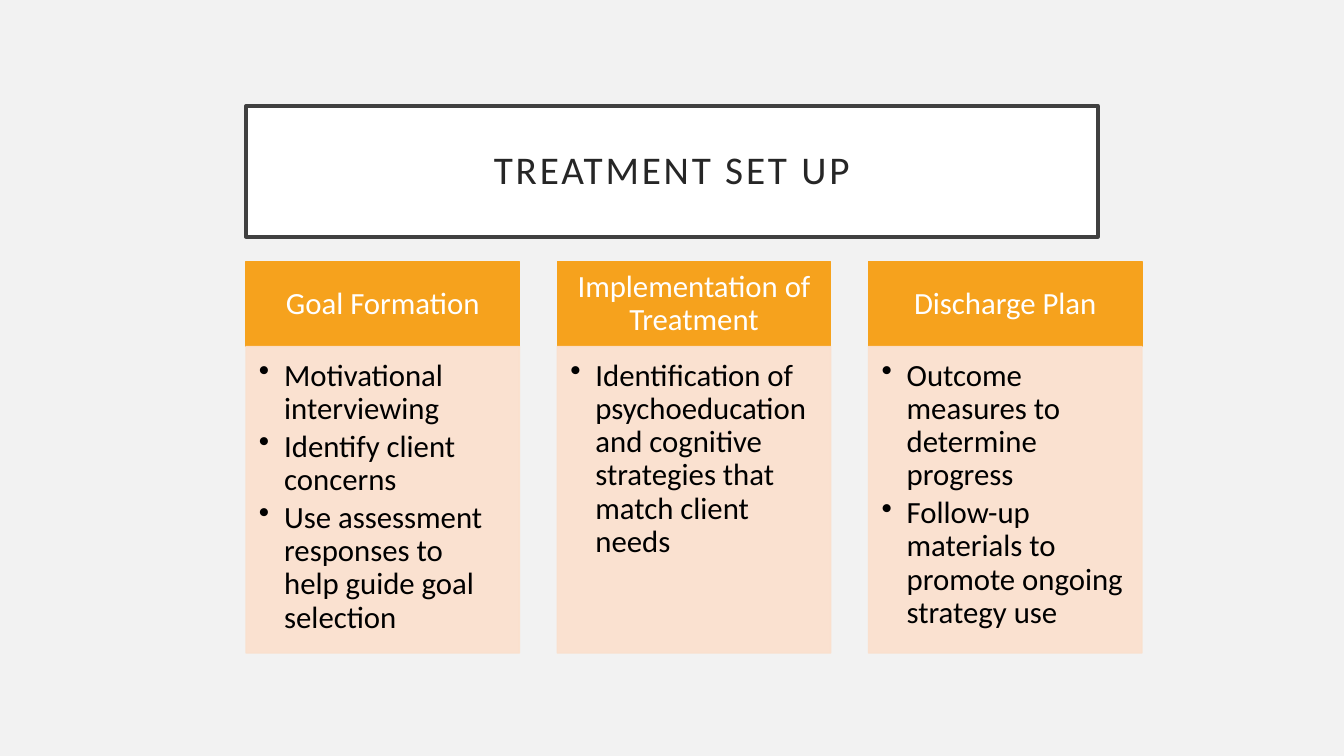
import dataclasses

import lxml.etree
import pptx
import pptx.dml.color
import pptx.enum.shapes
import pptx.enum.text
import pptx.oxml.ns

Pt = pptx.util.Pt
ALIGN = pptx.enum.text.PP_ALIGN
ANCHOR = pptx.enum.text.MSO_ANCHOR
qn = pptx.oxml.ns.qn


@dataclasses.dataclass(frozen=True)
class Theme:
    font: str = "Calibri"
    title_size: float = 28
    text_size: float = 22
    background: str = "F2F2F2"
    title_fill: str = "FFFFFF"
    title_line: str = "404040"
    title_text: str = "262626"
    stage_fill: str = "F6A21D"
    stage_text: str = "FFFFFF"
    steps_fill: str = "FBE0CD"
    steps_text: str = "000000"
    steps_opacity: int = 90


THEME = Theme()

STAGES = [
    ("Goal Formation", [
        "Motivational interviewing",
        "Identify client concerns",
        "Use assessment responses to help guide goal selection",
    ]),
    ("Implementation of Treatment", [
        "Identification of psychoeducation and cognitive strategies that match client needs",
    ]),
    ("Discharge Plan", [
        "Outcome measures to determine progress",
        "Follow-up materials to promote ongoing strategy use",
    ]),
]


def rgb(color):
    return pptx.dml.color.RGBColor.from_string(color)


def apply(target, formats):
    for name, value in formats.items():
        setattr(target, name, value)


def add_panel(slide, box, fill, line, line_width, insets, anchor):
    """Draw a filled rectangle ready for text; box is in points."""
    panel = slide.shapes.add_shape(
        pptx.enum.shapes.MSO_SHAPE.RECTANGLE, *(Pt(length) for length in box))
    panel.shadow.inherit = False
    panel.fill.solid()
    panel.fill.fore_color.rgb = rgb(fill)
    panel.line.color.rgb = rgb(line)
    panel.line.width = Pt(line_width)
    left, top, right, bottom = insets
    apply(panel.text_frame, {
        "word_wrap": True,
        "vertical_anchor": anchor,
        "margin_left": Pt(left),
        "margin_top": Pt(top),
        "margin_right": Pt(right),
        "margin_bottom": Pt(bottom),
    })
    return panel


def write(paragraph, words, size, color, align):
    apply(paragraph, {"alignment": align, "line_spacing": 0.9})
    run = paragraph.add_run()
    run.text = words
    apply(run.font, {"name": THEME.font, "size": Pt(size)})
    run.font.color.rgb = rgb(color)
    return run


def make_translucent(panel, opacity):
    for color in panel._element.spPr.iter(qn("a:srgbClr")):
        lxml.etree.SubElement(color, qn("a:alpha")).set("val", str(opacity * 1000))


def add_bullet(paragraph, indent):
    properties = paragraph._p.get_or_add_pPr()
    properties.set("marL", str(Pt(indent)))
    properties.set("indent", str(-Pt(indent)))
    lxml.etree.SubElement(properties, qn("a:buChar")).set("char", "•")


def add_title(slide, box, words):
    title = add_panel(slide, box, THEME.title_fill, THEME.title_line, 2.5,
                      (14.4,) * 4, ANCHOR.MIDDLE)
    run = write(title.text_frame.paragraphs[0], words,
                THEME.title_size, THEME.title_text, ALIGN.CENTER)
    run._r.get_or_add_rPr().set("spc", "200")  # letter spacing of 2 pt


def add_stage(slide, box, name, steps):
    left, top, width, height = box
    heading_height = 60.5

    # Heading
    heading = add_panel(slide, (left, top, width, heading_height),
                        THEME.stage_fill, THEME.stage_fill, 1,
                        (12.3, 7, 12.3, 7), ANCHOR.MIDDLE)
    write(heading.text_frame.paragraphs[0], name,
          THEME.text_size, THEME.stage_text, ALIGN.CENTER)

    # Bulleted steps
    body = add_panel(slide, (left, top + heading_height, width, height - heading_height),
                     THEME.steps_fill, THEME.steps_fill, 1,
                     (9.3, 9.3, 12.3, 13.9), ANCHOR.TOP)
    make_translucent(body, THEME.steps_opacity)
    for index, step in enumerate(steps):
        frame = body.text_frame
        paragraph = frame.add_paragraph() if index else frame.paragraphs[0]
        add_bullet(paragraph, 18)
        write(paragraph, step, THEME.text_size, THEME.steps_text, ALIGN.LEFT)
        paragraph.space_after = Pt(3.3)


def add_stages(slide, box, stages):
    left, top, width, height = box
    gap = 27
    column = (width - gap * (len(stages) - 1)) / len(stages)
    for index, (name, steps) in enumerate(stages):
        add_stage(slide, (left + index * (column + gap), top, column, height), name, steps)


def main():
    presentation = pptx.Presentation()
    apply(presentation, {"slide_width": Pt(960), "slide_height": Pt(540)})
    slide = presentation.slides.add_slide(presentation.slide_layouts[6])
    slide.background.fill.solid()
    slide.background.fill.fore_color.rgb = rgb(THEME.background)

    add_title(slide, (175.7, 75.6, 608.5, 93.6), "TREATMENT SET UP")
    add_stages(slide, (175.7, 187, 640, 279.5), STAGES)
    presentation.save("out.pptx")


if __name__ == "__main__":
    main()
